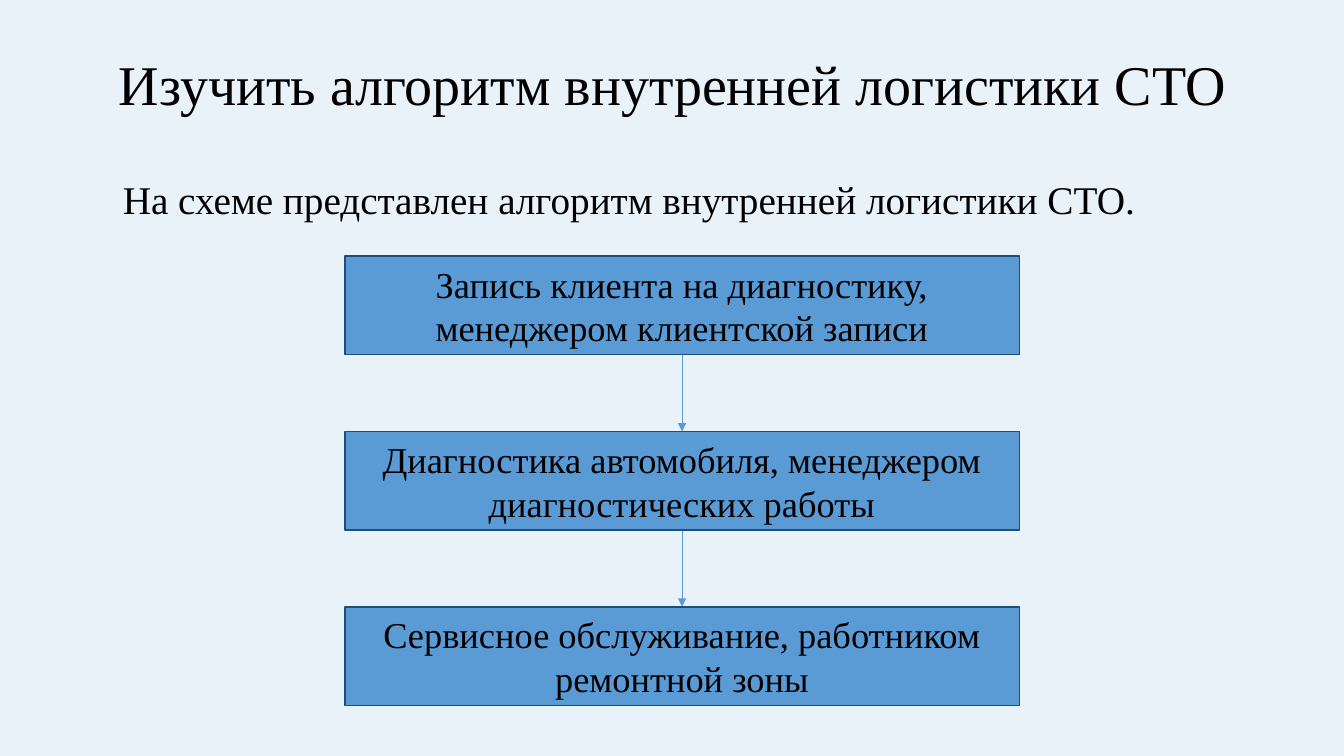
from typing import NamedTuple

import lxml.etree
import pptx
import pptx.dml.color
import pptx.enum.shapes
import pptx.enum.text
import pptx.oxml.ns
import pptx.util

HUES = {"back": "EAF2F9", "box": "5B9BD5", "edge": "1F4D78", "text": "000000"}
FONT = "Times New Roman"
WIDE, HIGH = 13.33, 7.5
LEFT, TOP = 3.42, 2.54  # first step, inches
BOX_W, BOX_H, PITCH = 6.69, 0.98, 1.74
ALIGN = pptx.enum.text.PP_ALIGN
ANCHOR = pptx.enum.text.MSO_ANCHOR


class Label(NamedTuple):
    """A text with its frame and its type."""
    text: str
    left: float
    top: float
    width: float
    height: float
    size: int
    align: ALIGN
    anchor: ANCHOR
    space: float


LABELS = [
    Label("Изучить алгоритм внутренней логистики СТО",
          0.92, 0.4, 11.5, 0.94, 40, ALIGN.CENTER, ANCHOR.MIDDLE, 0.9),
    Label("На схеме представлен алгоритм внутренней логистики СТО.",
          1.12, 1.74, 11.3, 0.79, 28, ALIGN.LEFT, ANCHOR.TOP, 0.9),
]
STEPS = [
    "Запись клиента на диагностику, менеджером клиентской записи",
    "Диагностика автомобиля, менеджером диагностических работы",
    "Сервисное обслуживание, работником ремонтной зоны",
]


def hue(name: str) -> pptx.dml.color.RGBColor:
    """Return a named colour."""
    return pptx.dml.color.RGBColor.from_string(HUES[name])


def frame(label: Label) -> list[int]:
    """Return the frame of a label as lengths."""
    return [pptx.util.Inches(side) for side in label[1:5]]


def write(shape, label: Label) -> None:
    """Put the text of a label into a shape."""
    body = shape.text_frame
    body.word_wrap = True
    body.vertical_anchor = label.anchor
    para = body.paragraphs[0]
    para.text = label.text
    para.alignment = label.align
    para.line_spacing = label.space
    para.font.name = FONT
    para.font.size = pptx.util.Pt(label.size)
    para.font.color.rgb = hue("text")


def draw_text(slide, label: Label) -> None:
    """Draw a plain text box."""
    write(slide.shapes.add_textbox(*frame(label)), label)


def draw_step(slide, label: Label) -> None:
    """Draw one step of the flow as a filled box."""
    kind = pptx.enum.shapes.MSO_SHAPE.RECTANGLE
    box = slide.shapes.add_shape(kind, *frame(label))
    box.shadow.inherit = False
    box.fill.solid()
    box.fill.fore_color.rgb = hue("box")
    box.line.color.rgb = hue("edge")
    box.line.width = pptx.util.Pt(1)
    write(box, label)


def draw_arrow(slide, top: float, end: float) -> None:
    """Draw an arrow down the middle of the flow."""
    mid = LEFT + BOX_W / 2
    ends = [pptx.util.Inches(side) for side in (mid, top, mid, end)]
    arrow = slide.shapes.add_connector(
        pptx.enum.shapes.MSO_CONNECTOR.STRAIGHT, *ends)
    arrow.line.color.rgb = hue("box")
    arrow.line.width = pptx.util.Pt(0.5)
    name = pptx.oxml.ns.qn
    line = arrow.line._get_or_add_ln()
    lxml.etree.SubElement(line, name("a:tailEnd"), type="triangle")
    lxml.etree.SubElement(line.getparent(), name("a:effectLst"))


def main() -> None:
    """Build the slide and save it."""
    deck = pptx.Presentation()
    deck.slide_width = pptx.util.Inches(WIDE)
    deck.slide_height = pptx.util.Inches(HIGH)
    slide = deck.slides.add_slide(deck.slide_layouts[6])
    slide.background.fill.solid()
    slide.background.fill.fore_color.rgb = hue("back")
    for label in LABELS:
        draw_text(slide, label)
    tops = [TOP + row * PITCH for row in range(len(STEPS))]
    for top in tops[:-1]:
        draw_arrow(slide, top + BOX_H, top + PITCH)
    for text, top in zip(STEPS, tops):
        draw_step(slide, Label(text, LEFT, top, BOX_W, BOX_H, 26,
                               ALIGN.CENTER, ANCHOR.MIDDLE, 1.0))
    deck.save("out.pptx")


main()
